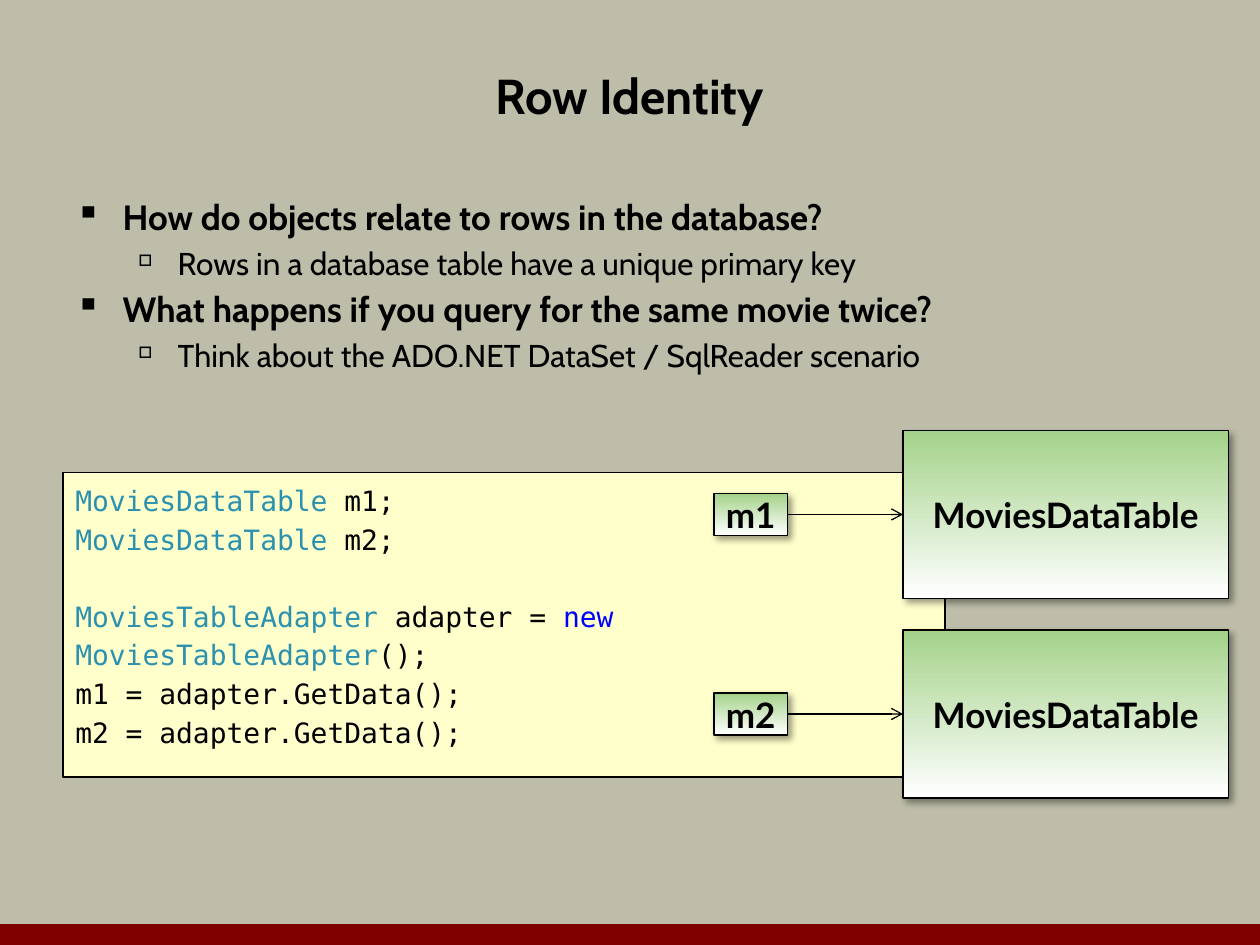
from lxml.etree import SubElement
from pptx import Presentation
from pptx.dml.color import RGBColor
from pptx.enum.shapes import MSO_CONNECTOR, MSO_SHAPE
from pptx.enum.text import MSO_ANCHOR, PP_ALIGN
from pptx.oxml.ns import qn
from pptx.util import Pt

BLACK = RGBColor(0x00, 0x00, 0x00)
WHITE = RGBColor(0xFF, 0xFF, 0xFF)
SAGE = RGBColor(0xBD, 0xBD, 0xA9)
MAROON = RGBColor(0x80, 0x00, 0x00)
CREAM = RGBColor(0xFF, 0xFF, 0xCC)
GREEN = RGBColor(0xA4, 0xD2, 0x89)
TYPE_BLUE = RGBColor(0x2B, 0x91, 0xAF)
KEYWORD_BLUE = RGBColor(0x00, 0x00, 0xFF)
HEADING_FONT, CODE_FONT, NODE_FONT = "Cabin", "DejaVu Sans Mono", "Lato"

TITLE = "Row Identity"
BULLETS = [
    (0, "How do objects relate to rows in the database?"),
    (1, "Rows in a database table have a unique primary key"),
    (0, "What happens if you query for the same movie twice?"),
    (1, "Think about the ADO.NET DataSet / SqlReader scenario"),
]
# Per level: size, bold, left margin, hanging indent, space before, bullet, bullet size %
LEVELS = [(20, True, 27, 27, 3, "▪", 100), (18, False, 58.5, 22.5, 4, "□", 50)]
CODE_GROUPS = [
    [
        [("MoviesDataTable", TYPE_BLUE), (" m1;", BLACK)],
        [("MoviesDataTable", TYPE_BLUE), (" m2;", BLACK)],
    ],
    [
        [("MoviesTableAdapter", TYPE_BLUE), (" adapter = ", BLACK), ("new ", KEYWORD_BLUE),
         ("MoviesTableAdapter", TYPE_BLUE), ("();", BLACK)],
        [("m1 = adapter.GetData();", BLACK)],
        [("m2 = adapter.GetData();", BLACK)],
    ],
]
CODE_LINE_HEIGHT = 22
REFERENCES = [("m1", "MoviesDataTable"), ("m2", "MoviesDataTable")]
FIRST_CENTER, REFERENCE_PITCH = 294, 114


def add_run(paragraph, text, font_name, size, color=BLACK, bold=False):
    run = paragraph.add_run()
    run.text = text
    run.font.name = font_name
    run.font.size = Pt(size)
    run.font.bold = bold
    run.font.color.rgb = color


def next_paragraph(frame, index):
    return frame.add_paragraph() if index else frame.paragraphs[0]


def add_rectangle(slide, left, top, width, height):
    shape = slide.shapes.add_shape(
        MSO_SHAPE.RECTANGLE, Pt(left), Pt(top), Pt(width), Pt(height))
    shape.shadow.inherit = False
    shape.line.color.rgb = BLACK
    shape.line.width = Pt(0.75)
    return shape


def add_node(slide, text, left, center, width, height):
    """Add a green gradient box with a soft shadow, centred on a height."""
    node = add_rectangle(slide, left, center - height / 2, width, height)
    node.fill.gradient()
    node.fill.gradient_angle = 270
    for stop, color, position in zip(node.fill.gradient_stops, (GREEN, WHITE), (0, 1)):
        stop.color.rgb = color
        stop.position = position
    effects = node._element.spPr.find(qn("a:effectLst"))
    shadow = SubElement(effects, qn("a:outerShdw"), blurRad=str(Pt(4)), dist=str(Pt(3)),
                        dir="2700000", algn="tl", rotWithShape="0")
    shadow_color = SubElement(shadow, qn("a:srgbClr"), val=str(BLACK))
    SubElement(shadow_color, qn("a:alpha"), val="40000")
    frame = node.text_frame
    frame.word_wrap = False
    frame.vertical_anchor = MSO_ANCHOR.MIDDLE
    paragraph = frame.paragraphs[0]
    paragraph.alignment = PP_ALIGN.CENTER
    add_run(paragraph, text, NODE_FONT, 20, bold=True)
    return node


def add_line(slide, start, end, color, width):
    line = slide.shapes.add_connector(
        MSO_CONNECTOR.STRAIGHT, *(Pt(value) for value in start + end))
    line.line.color.rgb = color
    line.line.width = Pt(width)
    SubElement(line._element.spPr, qn("a:effectLst"))
    return line


def add_arrow(slide, source, target):
    arrow = add_line(slide, (0, 0), (0, 0), BLACK, 0.75)
    arrow.begin_connect(source, 3)
    arrow.end_connect(target, 1)
    SubElement(arrow.line._get_or_add_ln(), qn("a:tailEnd"), type="arrow")


def add_title(slide):
    title = slide.shapes.title
    title.left, title.top, title.width, title.height = Pt(36), Pt(24), Pt(648), Pt(60)
    title.text_frame.vertical_anchor = MSO_ANCHOR.MIDDLE
    paragraph = title.text_frame.paragraphs[0]
    paragraph.alignment = PP_ALIGN.CENTER
    add_run(paragraph, TITLE, HEADING_FONT, 28, bold=True)


def add_bullets(slide):
    box = slide.shapes.add_textbox(Pt(36), Pt(108), Pt(648), Pt(114))
    frame = box.text_frame
    frame.word_wrap = True
    for index, (level, text) in enumerate(BULLETS):
        size, bold, margin, hanging, space, bullet, bullet_size = LEVELS[level]
        paragraph = next_paragraph(frame, index)
        paragraph.level = level
        properties = paragraph._p.get_or_add_pPr()
        properties.set("marL", str(Pt(margin)))
        properties.set("indent", str(-Pt(hanging)))
        SubElement(properties, qn("a:buSzPct"), val=str(bullet_size * 1000))
        SubElement(properties, qn("a:buChar"), char=bullet)
        if index:
            paragraph.space_before = Pt(space)
        add_run(paragraph, text, HEADING_FONT, size, bold=bold)


def add_code(slide):
    panel = add_rectangle(slide, 36, 270, 504, 174)
    panel.fill.solid()
    panel.fill.fore_color.rgb = CREAM
    frame = panel.text_frame
    frame.word_wrap = True
    frame.vertical_anchor = MSO_ANCHOR.TOP
    index = 0
    for group_index, group in enumerate(CODE_GROUPS):
        for line_index, line in enumerate(group):
            paragraph = next_paragraph(frame, index)
            paragraph.alignment = PP_ALIGN.LEFT
            paragraph.line_spacing = 1.15
            if group_index and line_index == 0:
                paragraph.space_before = Pt(CODE_LINE_HEIGHT)
            for text, color in line:
                add_run(paragraph, text, CODE_FONT, 16, color)
            index += 1


def main():
    presentation = Presentation()
    presentation.slide_width, presentation.slide_height = Pt(720), Pt(540)
    slide = presentation.slides.add_slide(presentation.slide_layouts[5])
    slide.background.fill.solid()
    slide.background.fill.fore_color.rgb = SAGE

    add_line(slide, (0, 534), (720, 534), MAROON, 12)
    add_title(slide)
    add_bullets(slide)
    add_code(slide)
    for index, (variable, table) in enumerate(REFERENCES):
        center = FIRST_CENTER + index * REFERENCE_PITCH
        table_node = add_node(slide, table, 516, center, 186, 96)
        variable_node = add_node(slide, variable, 408, center, 42, 24)
        add_arrow(slide, variable_node, table_node)

    presentation.save("out.pptx")


if __name__ == "__main__":
    main()
